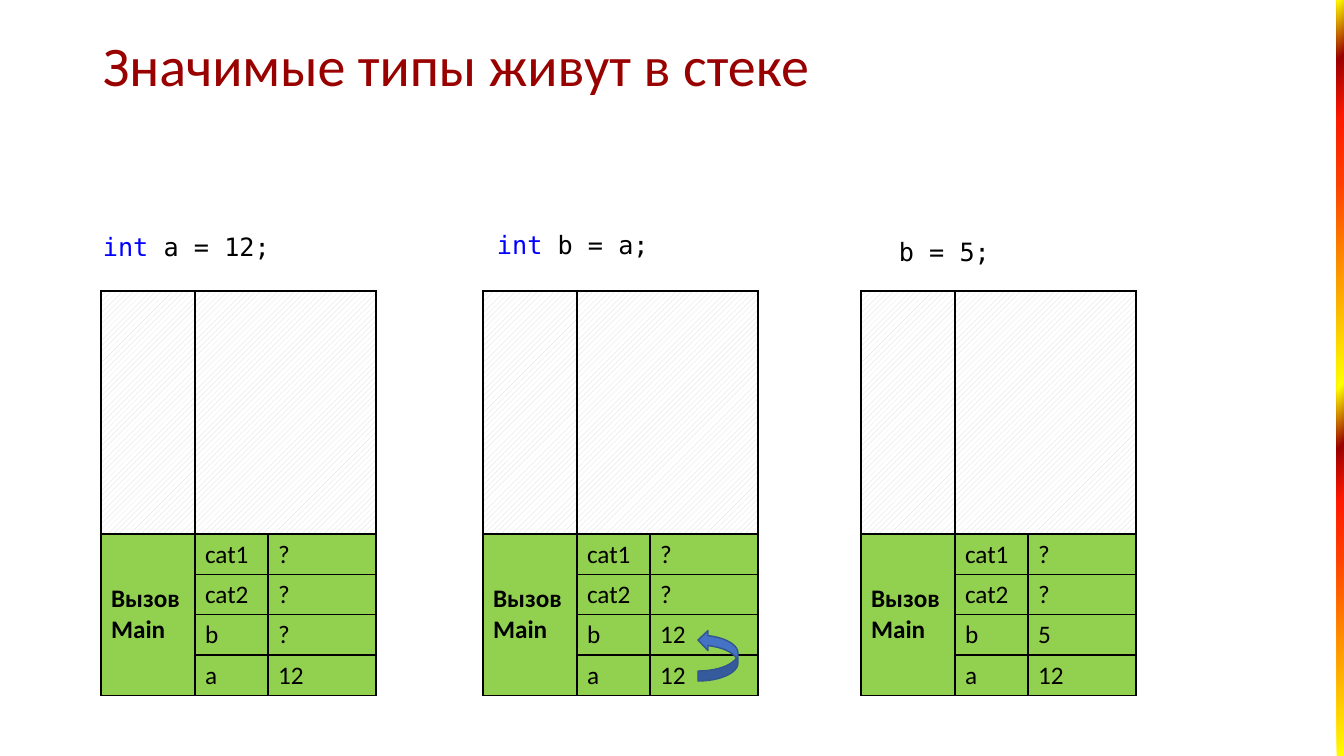
import pptx
import pptx.util
import pptx.dml.color
import pptx.enum.dml
import pptx.enum.shapes
import pptx.enum.text
import pptx.oxml
import pptx.oxml.ns
from dataclasses import dataclass
from lxml import etree

SLIDE_W, SLIDE_H = 1344, 756
EMU_PER_PX = 12192000 / SLIDE_W


def px(n):
    return pptx.util.Emu(round(n * EMU_PER_PX))


def rgb(value):
    return pptx.dml.color.RGBColor.from_string(value)


@dataclass(frozen=True)
class Theme:
    title: str = "990000"
    keyword: str = "0000FF"
    ink: str = "000000"
    frame: str = "92D050"
    hatch: str = "D9D9D9"
    paper: str = "FFFFFF"
    arrow: str = "4472C4"
    arrow_line: str = "325491"
    stripe: tuple = ((0, "FFFF00"), (27, "FF3D00"), (34, "FF1900"), (41, "990000"),
                     (49, "FFFF00"), (76, "FF3D00"), (84, "FF1900"), (92, "990000"),
                     (100, "FFFF00"))
    font: str = "Calibri"
    mono: str = "DejaVu Sans Mono"
    title_size: int = 40
    body_size: int = 18


class StackSlide:
    def __init__(self, prs, theme):
        self.theme = theme
        self.s = prs.slides.add_slide(prs.slide_layouts[6])

    def style(self, p, font, size, color, bold=False):
        p.font.name, p.font.size, p.font.bold = font, pptx.util.Pt(size), bold
        p.font.color.rgb = rgb(color)

    def stripe(self, x, y, w, h):
        sp = self.s.shapes.add_shape(pptx.enum.shapes.MSO_SHAPE.RECTANGLE,
                                     px(x), px(y), px(w), px(h))
        sp.shadow.inherit = False
        sp.line.fill.background()
        sp.fill.gradient()
        sp.fill.gradient_angle = 135
        stops = sp.element.spPr.find(".//" + pptx.oxml.ns.qn("a:gsLst"))
        for stop in list(stops):
            stops.remove(stop)
        for pos, color in self.theme.stripe:
            gs = etree.SubElement(stops, pptx.oxml.ns.qn("a:gs"), pos=str(pos * 1000))
            etree.SubElement(gs, pptx.oxml.ns.qn("a:srgbClr"), val=color)

    def textbox(self, x, y, w, h):
        tf = self.s.shapes.add_textbox(px(x), px(y), px(w), px(h)).text_frame
        tf.word_wrap = True
        return tf

    def title(self, text, x, y, w, h):
        t = self.theme
        tf = self.textbox(x, y, w, h)
        tf.vertical_anchor = pptx.enum.text.MSO_ANCHOR.MIDDLE
        p = tf.paragraphs[0]
        p.text, p.line_spacing = text, 0.9
        self.style(p, t.font, t.title_size, t.title)

    def code(self, keyword, rest, x, y, w, h=40):
        t = self.theme
        tf = self.textbox(x, y, w, h)
        tf.auto_size = pptx.enum.text.MSO_AUTO_SIZE.SHAPE_TO_FIT_TEXT
        p = tf.paragraphs[0]
        self.style(p, t.mono, t.body_size, t.ink)
        if keyword:
            r = p.add_run()
            r.text = keyword
            r.font.color.rgb = rgb(t.keyword)
        p.add_run().text = rest

    def borders(self, cell):
        tcPr = cell._tc.get_or_add_tcPr()
        for side in ("lnL", "lnR", "lnT", "lnB"):
            tcPr.append(pptx.oxml.parse_xml(
                f'<a:{side} {pptx.oxml.ns.nsdecls("a")} w="12700"><a:solidFill>'
                f'<a:srgbClr val="{self.theme.ink}"/></a:solidFill></a:{side}>'))

    def stack(self, variables, x, y):
        t = self.theme
        widths, heights = (94, 73, 108), (243, 40, 40, 40, 40)
        table = self.s.shapes.add_table(len(heights), len(widths), px(x), px(y),
                                        px(sum(widths)), px(sum(heights))).table
        table.first_row = table.horz_banding = False
        for col, w in zip(table.columns, widths):
            col.width = px(w)
        for row, h in zip(table.rows, heights):
            row.height = px(h)
        # Free stack space on top, the call frame below
        table.cell(0, 1).merge(table.cell(0, 2))
        table.cell(1, 0).merge(table.cell(4, 0))
        texts = [("", "", "")] + [("", *v) for v in variables]
        texts[1] = ("Вызов Main", *variables[0])
        for i, row in enumerate(texts):
            for j, text in enumerate(row):
                cell = table.cell(i, j)
                self.borders(cell)
                if i == 0:
                    cell.fill.patterned()
                    cell.fill.pattern = pptx.enum.dml.MSO_PATTERN.WIDE_UPWARD_DIAGONAL
                    cell.fill.fore_color.rgb = rgb(t.hatch)
                    cell.fill.back_color.rgb = rgb(t.paper)
                else:
                    cell.fill.solid()
                    cell.fill.fore_color.rgb = rgb(t.frame)
                if text:
                    cell.text = text
                    cell.vertical_anchor = pptx.enum.text.MSO_ANCHOR.MIDDLE
                    self.style(cell.text_frame.paragraphs[0], t.font, t.body_size,
                               t.ink, bold=j == 0)

    def copy_arrow(self, x, y, w, h):
        sp = self.s.shapes.add_shape(pptx.enum.shapes.MSO_SHAPE.CURVED_RIGHT_ARROW,
                                     px(x), px(y), px(w), px(h))
        sp.rotation = 180
        sp.shadow.inherit = False
        sp.fill.solid()
        sp.fill.fore_color.rgb = rgb(self.theme.arrow)
        sp.line.color.rgb = rgb(self.theme.arrow_line)
        sp.line.width = pptx.util.Pt(1)


def main():
    prs = pptx.Presentation()
    prs.slide_width, prs.slide_height = px(SLIDE_W), px(SLIDE_H)
    slide = StackSlide(prs, Theme())

    # Edge stripe and title
    slide.stripe(1337, 0, 7, SLIDE_H)
    slide.title("Значимые типы живут в стеке", 93, 15, 1159, 107)

    # Statements
    slide.code("int", " a = 12;", 93, 226, 203)
    slide.code("int", " b = a;", 487, 224, 203)
    slide.code("", "b = 5;", 889, 231, 145)

    # Stack after each statement
    for x, b in ((101, "?"), (483, "12"), (861, "5")):
        slide.stack([("cat1", "?"), ("cat2", "?"), ("b", b), ("a", "12")], x, 291)

    # Value copied from a to b
    slide.copy_arrow(698, 630, 40, 51)

    prs.save("out.pptx")


if __name__ == "__main__":
    main()
